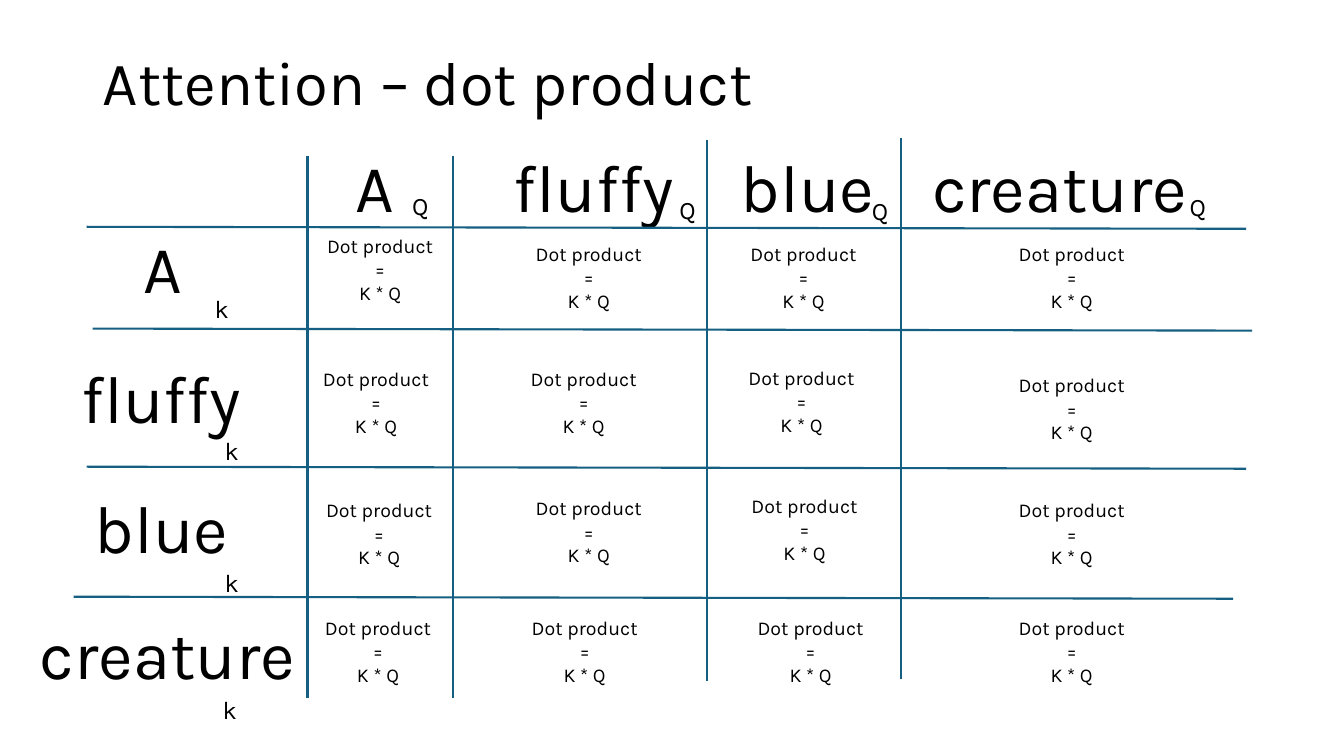
from dataclasses import dataclass

from lxml import etree
from pptx import Presentation
from pptx.dml.color import RGBColor
from pptx.enum.shapes import MSO_CONNECTOR
from pptx.enum.text import MSO_ANCHOR, MSO_AUTO_SIZE, PP_ALIGN
from pptx.oxml.ns import qn
from pptx.util import Emu, Pt

STRAIGHT = MSO_CONNECTOR.STRAIGHT
MIDDLE = MSO_ANCHOR.MIDDLE
GROW, FIXED = MSO_AUTO_SIZE.SHAPE_TO_FIT_TEXT, MSO_AUTO_SIZE.NONE
LEFT, CENTER = PP_ALIGN.LEFT, PP_ALIGN.CENTER
EMU_PER_PX = 9144  # 100 px to the inch
TITLE_ONLY = 5


@dataclass(frozen=True)
class Theme:
    font: str = "Karla"
    ink: RGBColor = RGBColor(0x00, 0x00, 0x00)
    rule: RGBColor = RGBColor(0x15, 0x60, 0x82)
    title_size: int = 44
    word_size: int = 48
    subscript_size: int = 18
    cell_size: int = 14
    rule_width: float = 1.5


@dataclass(frozen=True)
class Token:
    """A word heading a row or column, with its subscript's position."""
    word: str
    left: int
    top: int
    width: int
    subscript_left: int
    subscript_top: int


THEME = Theme()
WORD_HEIGHT = 91
SUBSCRIPT_WIDTH, SUBSCRIPT_HEIGHT = 83, 40
CELL_WIDTH, CELL_HEIGHT = 134, 81
CELL_TEXT = "Dot product =\nK * Q"

QUERIES = [
    Token("A", 305, 139, 134, 399, 184),
    Token("fluffy", 478, 139, 222, 664, 188),
    Token("blue", 690, 139, 222, 855, 189),
    Token("creature", 912, 139, 278, 1170, 185),
]
KEYS = [
    Token("A", 94, 220, 134, 203, 286),
    Token("fluffy", 49, 349, 222, 213, 427),
    Token("blue", 49, 478, 222, 213, 558),
    Token("creature", 27, 603, 278, 211, 684),
]
# Left and top of each product, one row per key
PRODUCTS = [
    [(310, 227), (517, 235), (730, 235), (996, 235)],
    [(306, 359), (512, 359), (728, 358), (996, 365)],
    [(309, 489), (517, 487), (731, 485), (996, 489)],
    [(308, 606), (513, 606), (737, 606), (996, 606)],
]
COLUMN_RULES = [(305, 155), (449, 155), (701, 139), (894, 137)]
COLUMN_RULE_LENGTH = 537
ROW_RULES = [(86, 225), (92, 326), (86, 463), (73, 592)]
ROW_RULE_LENGTH, ROW_RULE_DROP = 1150, 2


def px(length: int) -> Emu:
    return Emu(length * EMU_PER_PX)


def format_text(frame, size: int, align: PP_ALIGN) -> None:
    for para in frame.paragraphs:
        para.alignment = align
        for span in para.runs:
            span.font.name = THEME.font
            span.font.size = Pt(size)
            span.font.color.rgb = THEME.ink


def add_text(page, text: str, left: int, top: int, width: int, height: int,
             size: int, align: PP_ALIGN = CENTER) -> None:
    box = page.shapes.add_textbox(px(left), px(top), px(width), px(height))
    frame = box.text_frame
    frame.word_wrap = True
    frame.auto_size = GROW
    frame.text = text
    format_text(frame, size, align)


def add_token(page, token: Token, subscript: str) -> None:
    add_text(page, token.word, token.left, token.top, token.width,
             WORD_HEIGHT, THEME.word_size)
    add_text(page, subscript, token.subscript_left, token.subscript_top,
             SUBSCRIPT_WIDTH, SUBSCRIPT_HEIGHT, THEME.subscript_size, LEFT)


def add_rule(page, left: int, top: int, across: int, down: int) -> None:
    rule = page.shapes.add_connector(
        STRAIGHT, px(left), px(top), px(left + across), px(top + down))
    rule.line.color.rgb = THEME.rule
    rule.line.width = Pt(THEME.rule_width)
    etree.SubElement(rule._element.spPr, qn("a:effectLst"))


def set_title(page, text: str) -> None:
    title = page.shapes.title
    title.left, title.top = px(92), px(12)
    title.width, title.height = px(1150), px(145)
    frame = title.text_frame
    frame.text = text
    frame.auto_size = FIXED
    frame.vertical_anchor = MIDDLE
    frame.paragraphs[0].line_spacing = 0.9
    format_text(frame, THEME.title_size, LEFT)


def main() -> None:
    deck = Presentation()
    deck.slide_width, deck.slide_height = px(1333), px(750)
    page = deck.slides.add_slide(deck.slide_layouts[TITLE_ONLY])
    set_title(page, "Attention – dot product")
    for query in QUERIES:
        add_token(page, query, "Q")
    for key in KEYS:
        add_token(page, key, "k")
    for left, top in COLUMN_RULES:
        add_rule(page, left, top, 0, COLUMN_RULE_LENGTH)
    for left, top in ROW_RULES:
        add_rule(page, left, top, ROW_RULE_LENGTH, ROW_RULE_DROP)
    for row in PRODUCTS:
        for left, top in row:
            add_text(page, CELL_TEXT, left, top, CELL_WIDTH, CELL_HEIGHT,
                     THEME.cell_size)
    deck.save("out.pptx")


if __name__ == "__main__":
    main()
